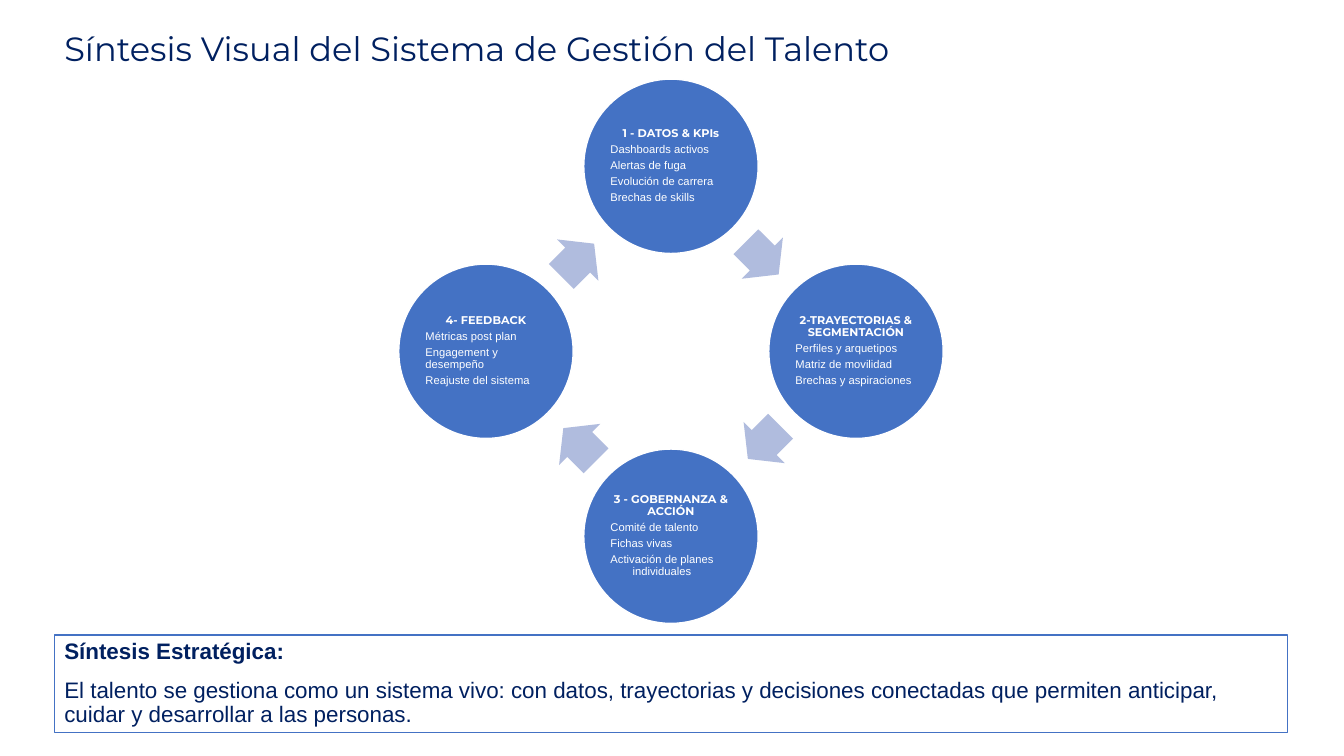
"""Build the talent management summary slide with its four-step cycle."""
from dataclasses import dataclass
from math import cos, radians, sin

from pptx import Presentation
from pptx.dml.color import RGBColor
from pptx.enum import shapes, text
from pptx.util import Inches, Pt


@dataclass(frozen=True)
class Theme:
    navy: RGBColor = RGBColor(0x00, 0x20, 0x60)
    blue: RGBColor = RGBColor(0x44, 0x72, 0xC4)
    pale: RGBColor = RGBColor(0xB0, 0xBC, 0xDE)
    white: RGBColor = RGBColor(0xFF, 0xFF, 0xFF)
    heading: str = "Montserrat"
    body: str = "Arial"
    title_size: float = 24
    summary_size: float = 16
    step_size: float = 8


@dataclass(frozen=True)
class Step:
    name: str
    items: tuple[str, ...]


THEME = Theme()
CENTRE_X, CENTRE_Y = 6.655, 3.485
RING = 1.835
DISC, LABEL = 1.73, 1.22
ARROW_WIDTH, ARROW_HEIGHT = 0.46, 0.58
ARROW_RING, ARROW_LEAD = 1.294, 0.6
HANGING = 0.22

STEPS = (
    Step("1 - DATOS & KPIs", ("Dashboards activos", "Alertas de fuga",
                              "Evolución de carrera", "Brechas de skills")),
    Step("2-TRAYECTORIAS & SEGMENTACIÓN", ("Perfiles y arquetipos", "Matriz de movilidad",
                                           "Brechas y aspiraciones")),
    Step("3 - GOBERNANZA & ACCIÓN", ("Comité de talento", "Fichas vivas",
                                     "Activación de planes individuales")),
    Step("4- FEEDBACK", ("Métricas post plan", "Engagement y desempeño",
                         "Reajuste del sistema")),
)
HANGING_ITEM = "Activación de planes individuales"
SUMMARY = (
    "Síntesis Estratégica:",
    "El talento se gestiona como un sistema vivo: con datos, trayectorias y decisiones "
    "conectadas que permiten anticipar, cuidar y desarrollar a las personas.",
)


def ring_point(degrees: float, radius: float) -> tuple[float, float]:
    angle = radians(degrees)
    return CENTRE_X + radius * sin(angle), CENTRE_Y - radius * cos(angle)


def centred(x: float, y: float, width: float, height: float) -> tuple:
    return Inches(x - width / 2), Inches(y - height / 2), Inches(width), Inches(height)


def style(para, font: str, size: float, color: RGBColor, bold: bool = False) -> None:
    para.line_spacing = 0.9
    for span in para.runs:
        span.font.name, span.font.size, span.font.bold = font, Pt(size), bold
        span.font.color.rgb = color


def prepare(frame, lines: tuple[str, ...]) -> None:
    frame.word_wrap = True
    frame.vertical_anchor = text.MSO_ANCHOR.MIDDLE
    frame.text = "\n".join(lines)


def add_filled(page, kind, place: tuple, fill: RGBColor, line: RGBColor | None = None):
    shape = page.shapes.add_shape(kind, *place)
    shape.shadow.inherit = False
    shape.fill.solid()
    shape.fill.fore_color.rgb = fill
    if line is None:
        shape.line.fill.background()
    else:
        shape.line.color.rgb = line
        shape.line.width = Pt(1)
    return shape


def add_title(page) -> None:
    box = page.shapes.add_textbox(Inches(0.54), Inches(0.33), Inches(11.5), Inches(0.35))
    prepare(box.text_frame, ("Síntesis Visual del Sistema de Gestión del Talento",))
    style(box.text_frame.paragraphs[0], THEME.heading, THEME.title_size, THEME.navy)


def add_summary(page) -> None:
    place = (Inches(0.54), Inches(6.3), Inches(12.23), Inches(0.97))
    box = add_filled(page, shapes.MSO_SHAPE.RECTANGLE, place, THEME.white, THEME.blue)
    prepare(box.text_frame, SUMMARY)
    for index, para in enumerate(box.text_frame.paragraphs):
        style(para, THEME.body, THEME.summary_size, THEME.navy, bold=index == 0)
        para.alignment = text.PP_ALIGN.LEFT
        para.space_before = Pt(10)


def add_step(page, step: Step, degrees: float) -> None:
    x, y = ring_point(degrees, RING)
    add_filled(page, shapes.MSO_SHAPE.OVAL, centred(x, y, DISC, DISC), THEME.blue, THEME.white)
    frame = page.shapes.add_textbox(*centred(x, y, LABEL, LABEL)).text_frame
    prepare(frame, (step.name, *step.items))
    frame.margin_left = frame.margin_right = Inches(0.01)
    frame.margin_top = frame.margin_bottom = Inches(0.01)
    for index, para in enumerate(frame.paragraphs):
        first = index == 0
        style(para, THEME.heading if first else THEME.body, THEME.step_size, THEME.white, first)
        para.alignment = text.PP_ALIGN.CENTER if first else text.PP_ALIGN.LEFT
        para.space_after = Pt(2.8)
        if para.text == HANGING_ITEM:
            properties = para._p.get_or_add_pPr()
            properties.set("marL", str(Inches(HANGING)))
            properties.set("indent", str(-Inches(HANGING)))


def add_arrow(page, degrees: float) -> None:
    x, y = ring_point(degrees - ARROW_LEAD, ARROW_RING)
    place = centred(x, y, ARROW_WIDTH, ARROW_HEIGHT)
    arrow = add_filled(page, shapes.MSO_SHAPE.RIGHT_ARROW, place, THEME.pale)
    arrow.adjustments[0], arrow.adjustments[1] = 0.6, 0.5
    arrow.rotation = degrees


def main() -> None:
    deck = Presentation()
    deck.slide_width, deck.slide_height = Inches(13.33), Inches(7.5)
    page = deck.slides.add_slide(deck.slide_layouts[6])
    add_title(page)
    add_summary(page)
    turn = 360 / len(STEPS)
    for index, step in enumerate(STEPS):
        add_step(page, step, index * turn)
        add_arrow(page, (index + 0.5) * turn)
    deck.save("out.pptx")


if __name__ == "__main__":
    main()
